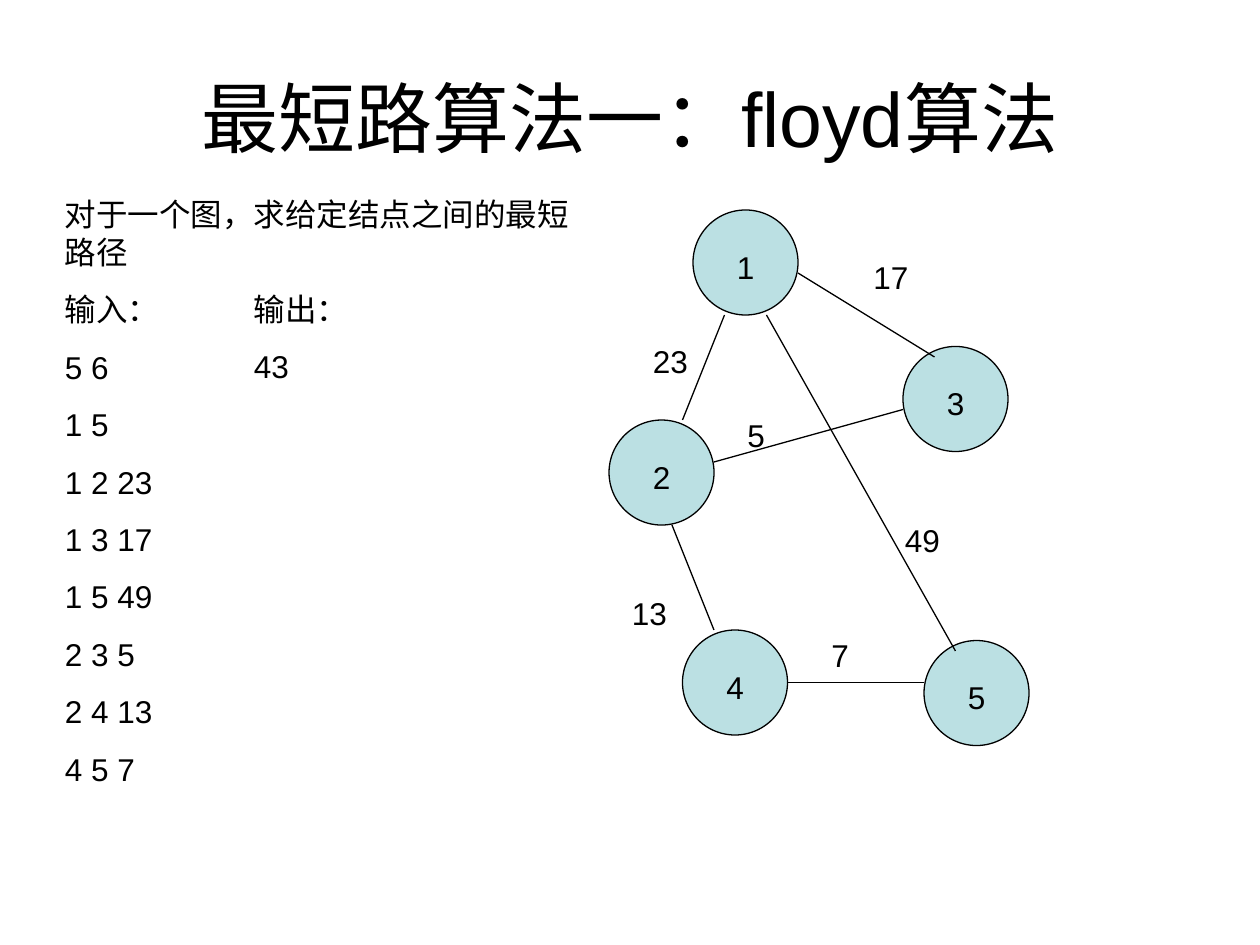
import pptx
import pptx.dml.color
import pptx.enum.shapes
import pptx.enum.text
import pptx.oxml.ns
import pptx.util
from lxml import etree

Pt = pptx.util.Pt
ALIGN = pptx.enum.text.PP_ALIGN
ANCHOR = pptx.enum.text.MSO_ANCHOR

BLACK = "000000"
NODE_FILL = "BBE0E3"
DIAMETER = 60
LABEL_INSET = 18
LABEL_HEIGHT = 28.8

NODES = {
    "1": (48, 0),
    "4": (42, 240),
    "5": (180, 246),
    "2": (0, 120),
    "3": (168, 78),
}
EDGES = [
    ((66, 60), (42, 120)),
    ((90, 60), (198, 252)),
    ((36, 180), (60, 240)),
    ((102, 270), (180, 270)),
    ((60, 144), (168, 114)),
    ((108, 36), (186, 84)),
]
WEIGHTS = [
    ("23", 18, 72, 36),
    ("13", 6, 216, 42),
    ("17", 144, 24, 36),
    ("5", 72, 114, 36),
    ("7", 120, 240, 36),
    ("49", 162, 174, 48),
]
INPUT_LINES = [
    "对于一个图，求给定结点之间的最短路径", "输入：", "5 6", "1 5", "1 2 23",
    "1 3 17", "1 5 49", "2 3 5", "2 4 13", "4 5 7",
]
OUTPUT_LINES = ["输出：", "43"]


def color(value):
    return pptx.dml.color.RGBColor.from_string(value)


def add_text(shapes, lines, left, top, width, height, size=18,
             align=ALIGN.LEFT, anchor=ANCHOR.TOP, before=11.2):
    box = shapes.add_textbox(Pt(left), Pt(top), Pt(width), Pt(height))
    frame = box.text_frame
    frame.word_wrap = True
    frame.vertical_anchor = anchor
    for index, line in enumerate(lines):
        para = frame.add_paragraph() if index else frame.paragraphs[0]
        para.alignment = align
        para.space_before = Pt(before)
        span = para.add_run()
        span.text = line
        span.font.size = Pt(size)
        span.font.name = "Arial"
        span.font.color.rgb = color(BLACK)


def set_outline(shape):
    shape.line.color.rgb = color(BLACK)
    shape.line.width = Pt(0.75)


def add_node(shapes, name, left, top):
    circle = shapes.add_shape(
        pptx.enum.shapes.MSO_SHAPE.OVAL,
        Pt(left), Pt(top), Pt(DIAMETER), Pt(DIAMETER))
    circle.shadow.inherit = False
    circle.fill.solid()
    circle.fill.fore_color.rgb = color(NODE_FILL)
    set_outline(circle)
    add_text(shapes, [name], left + LABEL_INSET, top + LABEL_INSET,
             36, LABEL_HEIGHT)


def add_edge(shapes, left, top, start, end):
    edge = shapes.add_connector(
        pptx.enum.shapes.MSO_CONNECTOR.STRAIGHT,
        Pt(left + start[0]), Pt(top + start[1]),
        Pt(left + end[0]), Pt(top + end[1]))
    set_outline(edge)
    etree.SubElement(edge._element.spPr, pptx.oxml.ns.qn("a:effectLst"))


def add_graph(page, left, top):
    shapes = page.shapes.add_group_shape().shapes
    for name, (x, y) in NODES.items():
        add_node(shapes, name, left + x, top + y)
    for start, end in EDGES:
        add_edge(shapes, left, top, start, end)
    for weight, x, y, width in WEIGHTS:
        add_text(shapes, [weight], left + x, top + y, width, LABEL_HEIGHT)


def add_title(page, left, top, width, height):
    add_text(page.shapes, ["最短路算法一：floyd算法"], left, top, width, height,
             size=44, align=ALIGN.CENTER, anchor=ANCHOR.MIDDLE, before=0)


def add_example(page, left, top, width, height):
    add_text(page.shapes, INPUT_LINES, left, top, width, height)
    add_text(page.shapes, OUTPUT_LINES, left + 108, top + 54, 180, 62)


def main():
    deck = pptx.Presentation()
    deck.slide_width = Pt(720)
    deck.slide_height = Pt(540)
    page = deck.slides.add_slide(deck.slide_layouts[6])
    add_title(page, 36, 21.6, 648, 90)
    add_graph(page, 348, 120)
    add_example(page, 30, 108, 306, 346)
    deck.save("out.pptx")


if __name__ == "__main__":
    main()
